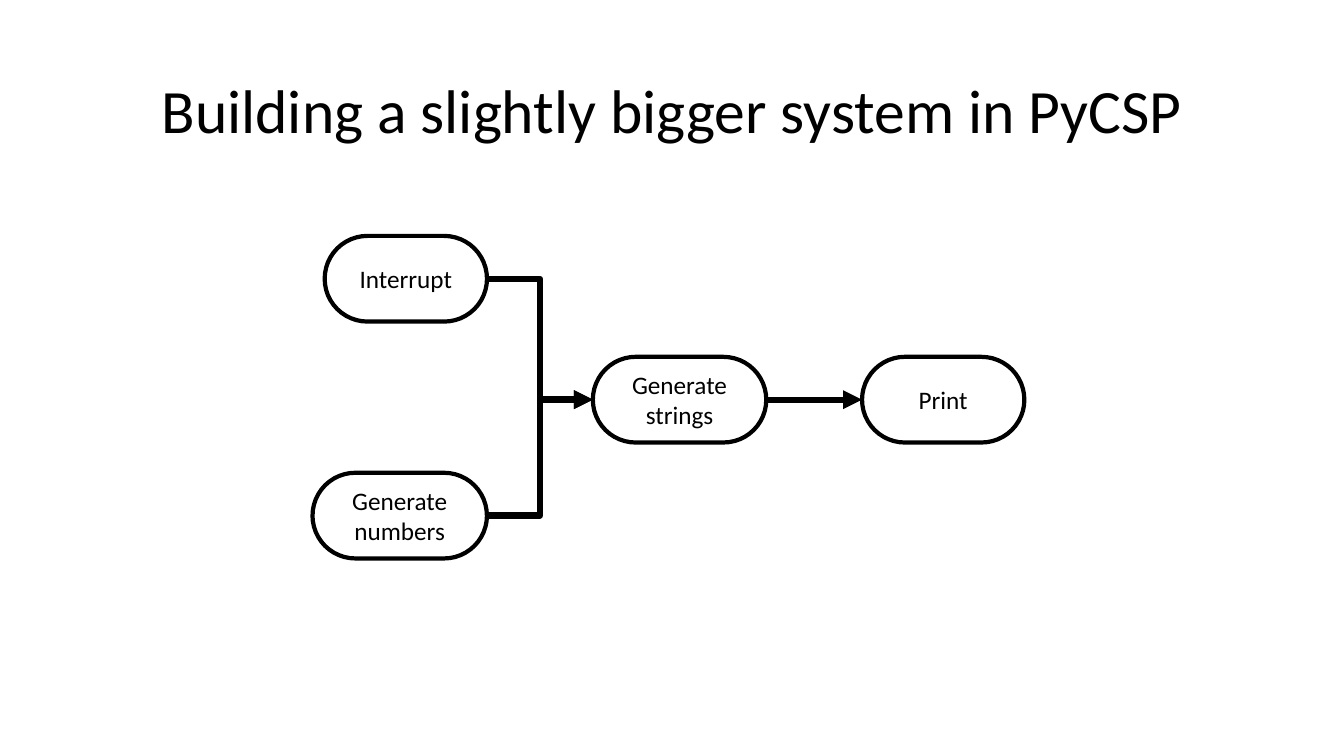
from lxml.etree import SubElement
from pptx import Presentation
from pptx.dml.color import RGBColor
from pptx.enum.shapes import MSO_CONNECTOR as LINK, MSO_SHAPE as SHAPE
from pptx.enum.text import MSO_ANCHOR as ANCHOR, PP_ALIGN as ALIGN
from pptx.oxml.ns import qn
from pptx.util import Inches, Pt

TITLE = "Building a slightly bigger system in PyCSP"
NODES = {
    "Print": (8.55, 3.54, 1.61),
    "Interrupt": (3.22, 2.34, 1.61),
    "Generate strings": (5.88, 3.54, 1.72),
    "Generate numbers": (3.1, 4.69, 1.73),
}
LINKS = [
    ("Generate numbers", "Generate strings", LINK.ELBOW),
    ("Interrupt", "Generate strings", LINK.ELBOW),
    ("Generate strings", "Print", LINK.STRAIGHT),
]
HEIGHT = 0.85
LEFT, RIGHT = 1, 3
BLACK = RGBColor(0, 0, 0)


def write(shape, text, size=18, space=1.0):
    frame = shape.text_frame
    frame.word_wrap = True
    frame.vertical_anchor = ANCHOR.MIDDLE
    para = frame.paragraphs[0]
    para.alignment = ALIGN.CENTER
    para.line_spacing = space
    run = para.add_run()
    run.text = text
    run.font.size = Pt(size)
    run.font.name = "Calibri"
    run.font.color.rgb = BLACK


def add_node(slide, text, left, top, width):
    node = slide.shapes.add_shape(
        SHAPE.ROUNDED_RECTANGLE, Inches(left), Inches(top), Inches(width), Inches(HEIGHT)
    )
    node.adjustments[0] = 0.5
    node.shadow.inherit = False
    node.fill.background()
    node.line.color.rgb = BLACK
    node.line.width = Pt(3)
    write(node, text)
    return node


def add_link(slide, start, end, kind):
    link = slide.shapes.add_connector(kind, 0, 0, 0, 0)
    link.begin_connect(start, RIGHT)
    link.end_connect(end, LEFT)
    link.line.color.rgb = BLACK
    link.line.width = Pt(4.5)
    SubElement(link.line._get_or_add_ln(), qn("a:tailEnd"), type="triangle")
    SubElement(link._element.spPr, qn("a:effectLst"))


def main():
    deck = Presentation()
    deck.slide_width, deck.slide_height = Inches(13.33), Inches(7.5)
    slide = deck.slides.add_slide(deck.slide_layouts[6])
    title = slide.shapes.add_textbox(Inches(0.92), Inches(0.4), Inches(11.5), Inches(1.45))
    write(title, TITLE, size=44, space=0.9)
    nodes = {text: add_node(slide, text, *place) for text, place in NODES.items()}
    for start, end, kind in LINKS:
        add_link(slide, nodes[start], nodes[end], kind)
    deck.save("out.pptx")


if __name__ == "__main__":
    main()
